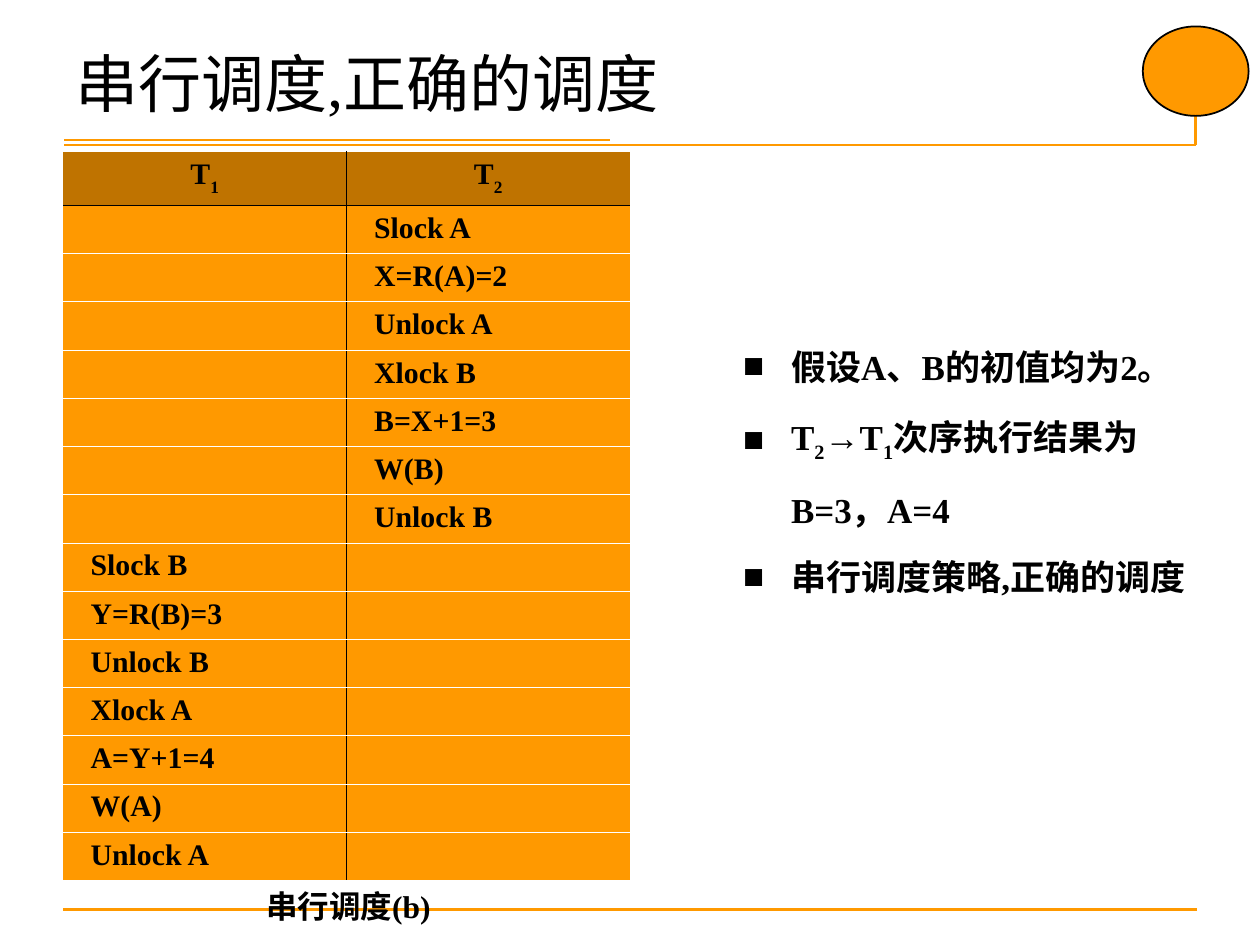
import pptx
import pptx.util
import pptx.dml.color
import pptx.enum.shapes
import pptx.enum.text
import pptx.oxml.ns
from lxml import etree

Inches, Pt = pptx.util.Inches, pptx.util.Pt
RGBColor = pptx.dml.color.RGBColor
ALIGN = pptx.enum.text.PP_ALIGN
ANCHOR = pptx.enum.text.MSO_ANCHOR
AUTO_SIZE = pptx.enum.text.MSO_AUTO_SIZE
qn = pptx.oxml.ns.qn

BLACK = RGBColor(0x00, 0x00, 0x00)
WHITE = RGBColor(0xFF, 0xFF, 0xFF)
ORANGE = RGBColor(0xFF, 0x99, 0x00)
BROWN = RGBColor(0xBF, 0x73, 0x00)

# Content: a paragraph is a list of (text, baseline shift in percent)
TITLE = "串行调度,正确的调度"
CAPTION = "串行调度(b)"
HEADER = [[("T", 0), ("1", -30)], [("T", 0), ("2", -30)]]
T2_STEPS = ["Slock A", "X=R(A)=2", "Unlock A", "Xlock B", "B=X+1=3", "W(B)", "Unlock B"]
T1_STEPS = ["Slock B", "Y=R(B)=3", "Unlock B", "Xlock A", "A=Y+1=4", "W(A)", "Unlock A"]
NOTES = [
    [("假设A、B的初值均为2。", 0)],
    [("T", 0), ("2", -25), ("→T", 0), ("1", -25), ("次序执行结果为B=3，A=4", 0)],
    [("串行调度策略,正确的调度", 0)],
]
RULES = [  # x1, y1, x2, y2
    (0.5, 7.22, 9.5, 7.22),
    (0.51, 1.15, 9.49, 1.15),
    (9.49, 0.28, 9.49, 1.15),
    (0.51, 1.11, 4.84, 1.11),
]

HANG = 0.38
TABLE_BOX = (0.5, 1.2, 4.5, 5.79)
HEADER_HEIGHT = 0.43


def write_text(frame, paragraphs, size=18, font="Times New Roman", color=BLACK, bold=False,
               align=ALIGN.LEFT, hang=0, spacing=None, bullet=None):
    for index, runs in enumerate(paragraphs):
        paragraph = frame.paragraphs[0] if index == 0 else frame.add_paragraph()
        properties = paragraph._p.get_or_add_pPr()
        if hang:
            properties.set("marL", str(Inches(hang)))
            properties.set("indent", str(-Inches(hang)))
        if bullet:
            bullet_color = etree.SubElement(properties, qn("a:buClr"))
            etree.SubElement(bullet_color, qn("a:srgbClr"), val=str(color))
            etree.SubElement(properties, qn("a:buFont"), typeface=font)
            etree.SubElement(properties, qn("a:buChar"), char=bullet)
        paragraph.alignment = align
        if spacing:
            paragraph.line_spacing = spacing
        for text, baseline in runs:
            run = paragraph.add_run()
            run.text = text
            run.font.size, run.font.name = Pt(size), font
            run.font.bold, run.font.color.rgb = bold, color
            if baseline:
                run.font._element.set("baseline", str(baseline * 1000))
        if not runs:  # an empty cell still needs its text height
            end = paragraph._p.get_or_add_endParaRPr()
            end.set("sz", str(size * 100))
            etree.SubElement(end, qn("a:latin"), typeface=font)


def add_text_box(slide, box, paragraphs, wrap=True, fit=True, anchor=ANCHOR.TOP, **text_format):
    frame = slide.shapes.add_textbox(*map(Inches, box)).text_frame
    frame.word_wrap = wrap
    frame.auto_size = AUTO_SIZE.SHAPE_TO_FIT_TEXT if fit else AUTO_SIZE.NONE
    frame.vertical_anchor = anchor
    write_text(frame, paragraphs, **text_format)


def add_rule(slide, ends):
    rule = slide.shapes.add_connector(
        pptx.enum.shapes.MSO_CONNECTOR.STRAIGHT, *map(Inches, ends))
    rule.line.color.rgb = ORANGE
    rule.line.width = Pt(1.5)
    etree.SubElement(rule._element.spPr, qn("a:effectLst"))


def set_borders(cell, colors):
    properties = cell._tc.get_or_add_tcPr()
    for position, side in enumerate("LRTB"):
        border = etree.Element(qn("a:ln" + side), w=str(Pt(0.45)))
        if colors.get(side) is None:
            etree.SubElement(border, qn("a:noFill"))
        else:
            fill = etree.SubElement(border, qn("a:solidFill"))
            etree.SubElement(fill, qn("a:srgbClr"), val=str(colors[side]))
        properties.insert(position, border)


def add_schedule(slide):
    rows = [HEADER]
    rows += [[[], [(step, 0)]] for step in T2_STEPS]
    rows += [[[(step, 0)], []] for step in T1_STEPS]
    table = slide.shapes.add_table(len(rows), 2, *map(Inches, TABLE_BOX)).table
    step_height = (TABLE_BOX[3] - HEADER_HEIGHT) / (len(rows) - 1)
    for r, row in enumerate(rows):
        table.rows[r].height = Inches(step_height if r else HEADER_HEIGHT)
        for c, runs in enumerate(row):
            cell = table.cell(r, c)
            cell.margin_left = cell.margin_right = Inches(0.22)
            cell.fill.solid()
            cell.fill.fore_color.rgb = ORANGE if r else BROWN
            write_text(cell.text_frame, [runs], size=17, bold=True, hang=HANG,
                       align=ALIGN.LEFT if r else ALIGN.CENTER)
            set_borders(cell, {
                "L": BLACK if c else None,
                "R": None if c else BLACK,
                "T": BLACK if r == 1 else WHITE,
                "B": WHITE if r else BLACK,
            })


def main():
    deck = pptx.Presentation()
    deck.slide_width, deck.slide_height = Inches(10), Inches(7.5)
    slide = deck.slides.add_slide(deck.slide_layouts[6])

    # Frame rules
    for ends in RULES:
        add_rule(slide, ends)

    # Plain corner disc
    disc = slide.shapes.add_shape(
        pptx.enum.shapes.MSO_SHAPE.OVAL, *map(Inches, (9.07, 0.21, 0.84, 0.71)))
    disc.shadow.inherit = False
    disc.fill.solid()
    disc.fill.fore_color.rgb = ORANGE
    disc.line.color.rgb = BLACK
    disc.line.width = Pt(1)

    # Title, schedule table with caption, and notes
    add_text_box(slide, (0.5, 0.23, 9, 0.85), [[(TITLE, 0)]], fit=False,
                 anchor=ANCHOR.MIDDLE, size=36)
    add_schedule(slide)
    add_text_box(slide, (1.61, 6.99, 2.31, 0.4), [[(CAPTION, 0)]], wrap=False,
                 bold=True, align=ALIGN.CENTER, hang=HANG)
    add_text_box(slide, (5.8, 2.49, 3.77, 2.84), NOTES, size=20, bold=True,
                 hang=HANG, spacing=1.6, bullet="■")

    deck.save("out.pptx")


if __name__ == "__main__":
    main()
